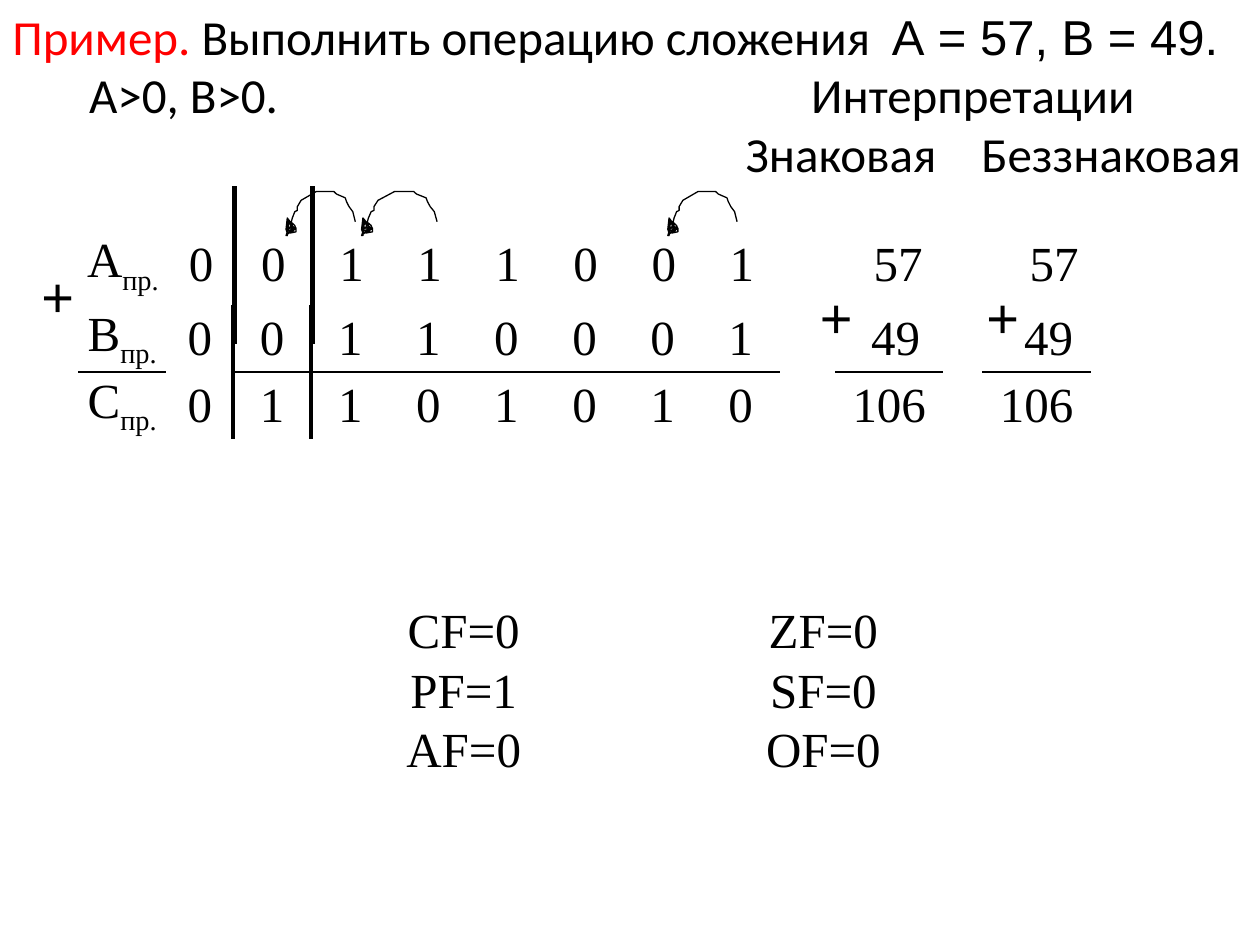
from dataclasses import dataclass

from lxml import etree
from pptx import Presentation
from pptx import util as u
from pptx.dml.color import RGBColor
from pptx.enum import text
from pptx.oxml import ns

Inches, Pt = u.Inches, u.Pt


@dataclass(frozen=True)
class Theme:
    ink: RGBColor = RGBColor(0, 0, 0)
    accent: RGBColor = RGBColor(255, 0, 0)
    heading_font: str = "Calibri"
    value_font: str = "Arial"
    digit_font: str = "Times New Roman"
    body_size: int = 28
    plus_size: int = 32
    arrow_line: float = 0.75
    sum_line: float = 1.5
    sign_line: float = 3


THEME = Theme()
NO_STYLE = "{2D5ABB26-0587-4C30-8999-92F81FD0307C}"

# Carry arrow: arc from right to left, then a scribbled head (hundredths of an inch)
ARROW_WIDTH = 56
CARRY_ARC = [(55, 24), (53, 16), (50, 12), (48, 8), (47, 5), (40, 2), (38, 0),
             (36, 0), (24, 0), (12, 7), (9, 12), (9, 15), (7, 16), (5, 21), (3, 29)]
CARRY_HEAD = [(1, 30), (1, 33), (0, 30), (1, 21), (4, 25), (5, 25), (7, 27), (8, 30),
              (5, 30), (2, 31), (4, 32), (2, 33), (1, 32), (1, 23), (2, 29), (4, 29),
              (5, 27), (5, 30), (4, 30), (5, 28), (4, 25), (2, 25), (2, 22), (3, 25),
              (5, 26), (5, 29), (7, 30), (4, 31), (0, 35), (1, 32), (1, 35), (2, 25),
              (7, 29), (6, 31), (3, 33), (8, 32), (8, 29), (7, 30)]


def apply(target, values):
    for name, value in values.items():
        setattr(target, name, value)


def add_run(paragraph, content, font, size=THEME.body_size, color=THEME.ink, subscript=False):
    run = paragraph.add_run()
    run.text = content
    apply(run.font, {"name": font, "size": Pt(size)})
    run.font.color.rgb = color
    if subscript:
        run.font._element.set("baseline", "-25000")


def add_child(parent, tag, **attributes):
    return etree.SubElement(parent, ns.qn(tag), attributes)


def set_tabs(paragraph, stops):
    tab_list = add_child(paragraph._p.get_or_add_pPr(), "a:tabLst")
    for stop in stops:
        add_child(tab_list, "a:tab", pos=str(Inches(stop)), algn="l")


def add_text_box(slide, box):
    shape = slide.shapes.add_textbox(*map(Inches, box))
    shape.text_frame.word_wrap = True
    return shape.text_frame


def add_heading(slide, box):
    heading, value = THEME.heading_font, THEME.value_font
    lines = [
        ([6.98], [("Пример. ", heading, THEME.accent),
                  ("Выполнить операцию сложения\t", heading, THEME.ink),
                  ("А = 57, В = 49.", value, THEME.ink)]),
        ([0.61, 6.34], [("\tА>0, B>0.\tИнтерпретации", heading, THEME.ink)]),
        ([5.82, 7.69], [("\tЗнаковая\tБеззнаковая", heading, THEME.ink)]),
    ]
    frame = add_text_box(slide, box)
    for index, (stops, runs) in enumerate(lines):
        paragraph = frame.add_paragraph() if index else frame.paragraphs[0]
        set_tabs(paragraph, stops)
        for content, font, color in runs:
            add_run(paragraph, content, font, color=color)


def add_plus(slide, box):
    add_run(add_text_box(slide, box).paragraphs[0], "+", THEME.value_font, THEME.plus_size)


def add_carry_arrow(slide, left, top, width):
    start, *points = CARRY_ARC + CARRY_HEAD
    builder = slide.shapes.build_freeform(
        *start, scale=(Inches(width) / ARROW_WIDTH, Inches(0.01)))
    builder.add_line_segments(points, close=False)
    shape = builder.convert_to_shape(Inches(left), Inches(top))
    shape.shadow.inherit = False
    shape.fill.background()
    shape.line.color.rgb = THEME.ink
    shape.line.width = Pt(THEME.arrow_line)


def set_borders(cell, borders):
    """Borders go before the fill, in the order left, right, top, bottom."""
    properties = cell._tc.get_or_add_tcPr()
    for index, side in enumerate(side for side in "LRTB" if side in borders):
        line = etree.Element(ns.qn(f"a:ln{side}"), w=str(Pt(borders[side])))
        fill = add_child(line, "a:solidFill")
        add_child(fill, "a:srgbClr", val=str(THEME.ink))
        properties.insert(index, line)


def add_grid(slide, box, columns, heights, rows, shifts=None):
    """A plain table; a label like A_пр. gets a subscript, shifts widen left margins."""
    shape = slide.shapes.add_table(len(rows), len(columns), *map(Inches, box))
    table = shape.table
    apply(table, {"first_row": False, "horz_banding": False})
    table._tbl.tblPr.find(ns.qn("a:tableStyleId")).text = NO_STYLE
    for column, width in zip(table.columns, columns):
        column.width = Inches(width)
    for row, height in zip(table.rows, heights):
        row.height = Inches(height)
    shape.height = Inches(box[3])
    for r, values in enumerate(rows):
        for c, value in enumerate(values):
            cell = table.cell(r, c)
            shift = (shifts or {}).get((r, c), 0)
            apply(cell, {"margin_left": Inches(0.07 + shift), "margin_right": Inches(0.07),
                         "margin_top": 0, "margin_bottom": 0,
                         "vertical_anchor": text.MSO_ANCHOR.MIDDLE})
            cell.fill.background()
            paragraph = cell.text_frame.paragraphs[0]
            paragraph.alignment = text.PP_ALIGN.CENTER
            base, _, index = value.partition("_")
            if base:
                add_run(paragraph, base, THEME.digit_font)
            if index:
                add_run(paragraph, index, THEME.digit_font, subscript=True)
    return table


def number_row(label, bits, signed, unsigned):
    return [label, *bits, "", signed, "", unsigned]


def add_sum(slide, box):
    """Binary addends and result, with the decimal readings on the right."""
    left, top, width, _ = box
    first = add_grid(slide, (left, top, width, 1.25), [0.71, 0.53] + [0.62] * 11, [1.25],
                     [number_row("А_пр.", "00111001", "57", "57")])
    second = add_grid(slide, (left, top + 0.94, width, 1.87),
                      [0.7, 0.53] + [0.62] * 7 + [0.44, 0.86, 0.31, 0.86], [0.28, 0.27],
                      [number_row("B_пр.", "00110001", "49", "49"),
                       number_row("С_пр.", "01101010", "106", "106")],
                      {(0, 10): 0.1, (0, 12): 0.19})
    underlined = {0, *range(2, 9), 10, 12}
    sign_sides = {1: "R", 2: "L"}
    for table, row, sum_side in ((first, 0, None), (second, 0, "B"), (second, 1, "T")):
        for column in range(len(table.columns)):
            borders = {}
            if column in sign_sides:
                borders[sign_sides[column]] = THEME.sign_line
            if sum_side and column in underlined:
                borders[sum_side] = THEME.sum_line
            set_borders(table.cell(row, column), borders)
    # Carries and plus signs
    for offset, arrow_width in ((4.68, 0.56), (2.25, 0.61), (1.65, 0.56)):
        add_carry_arrow(slide, left + offset, top + 0.04, arrow_width)
    for x, y in ((-0.39, 0.55), (5.79, 0.71), (7.11, 0.71)):
        add_plus(slide, (left + x, top + y, 0.47, 0.64))


def add_flags(slide, box):
    add_grid(slide, box, [1.74, 0.48, 3.01], [0.49, 0.41, 0.41],
             [["CF=0", "", "ZF=0"], ["PF=1", "", "SF=0"], ["AF=0", "", "OF=0"]])


def main():
    presentation = Presentation()
    apply(presentation, {"slide_width": Inches(10), "slide_height": Inches(7.5)})
    slide = presentation.slides.add_slide(presentation.slide_layouts[6])
    add_heading(slide, (0, 0, 10, 3.4))
    add_sum(slide, (0.62, 1.48, 8.05, 2.81))
    add_flags(slide, (2.81, 4.77, 5.23, 1.43))
    presentation.save("out.pptx")


if __name__ == "__main__":
    main()
